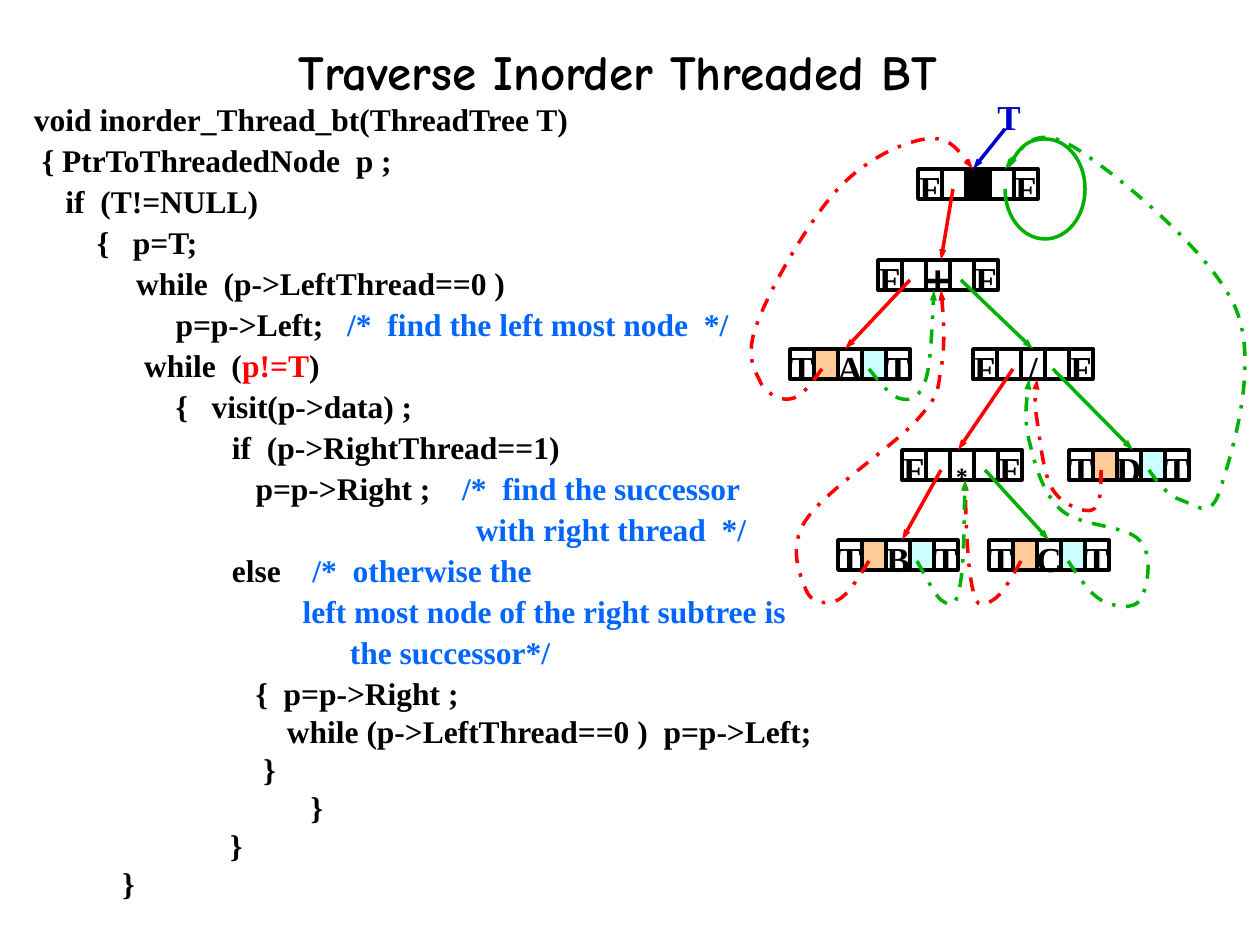
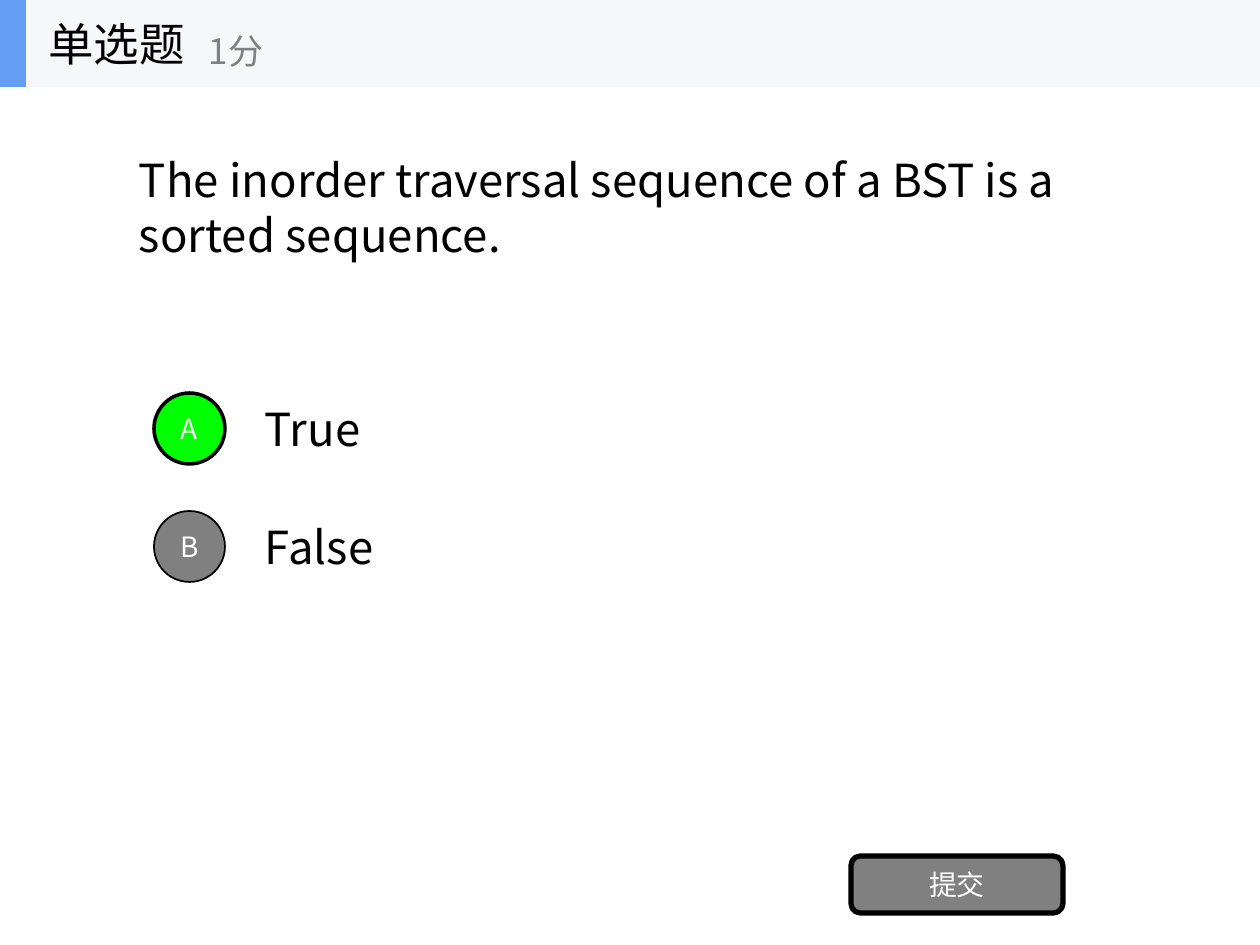
from lxml import etree
from pptx import Presentation
from pptx import util as u
from pptx.dml.color import RGBColor
from pptx.enum import dml, shapes, text
from pptx.oxml.ns import qn

PX = 914400 / 126  # EMU per px
BLACK, WHITE = RGBColor(0, 0, 0), RGBColor(255, 255, 255)
RED, GREEN = RGBColor(0xFF, 0, 0), RGBColor(0, 0xB2, 0)
NAVY, COMMENT = RGBColor(0, 0, 0xCC), RGBColor(0, 0x66, 0xFF)
PEACH, AQUA = RGBColor(0xFF, 0xCC, 0x99), RGBColor(0xCC, 0xFF, 0xFF)
GRAY, LIME = RGBColor(0x80, 0x80, 0x80), RGBColor(0, 0xFF, 0)
BAND, ACCENT = RGBColor(0xF6, 0xF7, 0xF8), RGBColor(0x63, 0x9E, 0xF4)
SERIF, COMIC, SANS, ARIAL = "Times New Roman", "Comic Neue", "Noto Sans CJK SC", "Arial"
LEFT, CENTER = text.PP_ALIGN.LEFT, text.PP_ALIGN.CENTER
MIDDLE, TOP = text.MSO_ANCHOR.MIDDLE, text.MSO_ANCHOR.TOP
SHAPE = shapes.MSO_SHAPE

CELL_W, CELL_H = 24, 30
# name: (left, top, tag, data); the tag F marks a link, T a thread
NODES = {
    "head": (178, 89, "F", ""),
    "+": (138, 180, "F", "+"),
    "A": (50, 269, "T", "A"),
    "/": (233, 269, "F", "/"),
    "*": (162, 370, "F", "∗"),
    "D": (329, 370, "T", "D"),
    "B": (98, 460, "T", "B"),
    "C": (249, 460, "T", "C"),
}
# start, end, colour, node whose data cell the arrow is joined to
LINKS = [
    ((265, 49), (233, 89), NAVY, None),
    ((213, 109), (201, 180), RED, None),
    ((170, 200), (105, 269), RED, None),
    ((221, 200), (293, 269), GREEN, "/"),
    ((273, 289), (218, 370), RED, None),
    ((313, 289), (393, 370), GREEN, None),
    ((201, 390), (162, 460), RED, None),
    ((245, 390), (309, 460), GREEN, "C"),
]
HEAD_LOOP = [(265, 109), (265, 137), (283, 159), (305, 159), (327, 159), (345, 137),
             (345, 109), (345, 81), (327, 59), (305, 59), (289, 59), (276, 70), (269, 88)]
# Bezier points: start, then two handles and an end for each segment
THREADS = [
    (RED, [(82, 289), (71, 304), (61, 318), (50, 319), (40, 321), (24, 313), (19, 299),
           (13, 287), (5, 272), (19, 239), (31, 207), (70, 139), (98, 109),
           (126, 79), (163, 62), (186, 59), (208, 56), (220, 72), (233, 89)]),
    (GREEN, [(129, 289), (141, 304), (152, 318), (162, 319), (171, 321), (180, 318),
             (186, 299), (191, 282), (192, 245), (194, 210)]),
    (RED, [(129, 481), (119, 497), (108, 515), (98, 520), (88, 525), (71, 524), (66, 510),
           (61, 497), (47, 468), (66, 440), (85, 411), (155, 365), (177, 340),
           (200, 314), (197, 312), (201, 289), (205, 268), (204, 239), (201, 210)]),
    (RED, [(281, 481), (272, 497), (262, 515), (253, 520), (245, 525), (236, 530),
           (233, 510), (228, 491), (226, 445), (225, 400)]),
    (GREEN, [(177, 481), (186, 497), (195, 515), (201, 520), (209, 525), (215, 530),
             (219, 510), (224, 491), (224, 445), (225, 400)]),
    (GREEN, [(328, 481), (339, 497), (349, 513), (361, 520), (373, 527), (394, 530),
             (400, 520), (407, 510), (414, 476), (400, 461), (388, 445), (340, 447),
             (321, 430), (302, 413), (294, 381), (289, 360), (284, 338), (287, 318),
             (289, 299)]),
    (RED, [(361, 390), (361, 408), (361, 427), (352, 430), (345, 433), (322, 425),
           (313, 410), (303, 395), (300, 358), (297, 340), (294, 321), (296, 311),
           (297, 299)]),
    (GREEN, [(409, 390), (418, 403), (428, 416), (441, 420), (452, 423), (471, 442),
             (480, 410), (490, 379), (520, 287), (496, 229), (472, 172), (375, 93),
             (337, 69), (298, 45), (282, 67), (265, 89)]),
]

# indent in px, space before in pt, runs
CODE = [
    (0, 0, [("void inorder_Thread_bt(ThreadTree T)", BLACK)]),
    (0, 1.7, [(" { PtrToThreadedNode  p ;", BLACK)]),
    (0, 1.7, [("    if  (T!=NULL)", BLACK)]),
    (0, 1.7, [("        {   p=T;", BLACK)]),
    (0, 1.7, [("             while  (p->LeftThread==0 )", BLACK)]),
    (0, 1.7, [("                  p=p->Left;   ", BLACK),
              ("/*  find the left most node  */", COMMENT)]),
    (0, 1.7, [("              while  (", BLACK), ("p!=T", RED), (")", BLACK)]),
    (0, 1.7, [("                  {   visit(p->data) ;", BLACK)]),
    (198, 1.7, [("if  (p->RightThread==1)", BLACK)]),
    (198, 1.7, [("   p=p->Right ;    ", BLACK), ("/*  find the successor", COMMENT)]),
    (198, 1.7, [("                               with right thread  */", COMMENT)]),
    (198, 1.7, [("else    ", BLACK), ("/*  otherwise the", COMMENT)]),
    (198, 1.7, [("         left most node of the right subtree is", COMMENT)]),
    (198, 1.7, [("               the successor*/", COMMENT)]),
    (198, 1.7, [("   {  p=p->Right ;", BLACK)]),
    (198, 0, [("       while (p->LeftThread==0 )  p=p->Left;", BLACK)]),
    (198, 0, [("    }", BLACK)]),
    (198, 0, [("          }", BLACK)]),
    (149, 0, [("      }", BLACK)]),
    (49, 0, [("     }", BLACK)]),
]


def px(*lengths):
    return [u.Emu(round(n * PX)) for n in lengths]


def add_run(p, words, size, font, color=BLACK, bold=False):
    r = p.add_run()
    r.text = words
    r.font.size, r.font.name, r.font.bold = u.Pt(size), font, bold
    r.font.color.rgb = color
    etree.SubElement(r.font._element, qn("a:ea"), typeface=font)


def set_frame(sp, anchor=MIDDLE, wrap=True, drop=0):
    """Clear the insets; drop lowers centred text by half its value in px."""
    tf = sp.text_frame
    tf.auto_size = text.MSO_AUTO_SIZE.NONE
    tf.word_wrap, tf.vertical_anchor = wrap, anchor
    tf.margin_left = tf.margin_right = tf.margin_bottom = 0
    tf.margin_top = px(drop)[0]
    return tf


def put_text(sp, words, size, font, color=BLACK, bold=False, align=LEFT, **frame):
    p = set_frame(sp, **frame).paragraphs[0]
    p.alignment = align
    add_run(p, words, size, font, color, bold)


def add_label(slide, box, words, size, font, **fmt):
    put_text(slide.shapes.add_textbox(*px(*box)), words, size, font, **fmt)


def put_title(slide, box, words, size, font, **fmt):
    title = slide.shapes.title
    title.left, title.top, title.width, title.height = px(*box)
    put_text(title, words, size, font, **fmt)
    title.element.getparent().append(title.element)  # in front of the bands


def add_shape(slide, kind, box, fill=None, line=None):
    """Line is the width in pt of a black outline."""
    sp = slide.shapes.add_shape(kind, *px(*box))
    sp.shadow.inherit = False
    if fill is None:
        sp.fill.background()
    else:
        sp.fill.solid()
        sp.fill.fore_color.rgb = fill
    if line is None:
        sp.line.fill.background()
    else:
        sp.line.color.rgb, sp.line.width = BLACK, u.Pt(line)
    return sp


def style_arrow(sp, color, dashed=False):
    sp.line.color.rgb, sp.line.width = color, u.Pt(2)
    if dashed:
        sp.line.dash_style = dml.MSO_LINE.DASH_DOT
    ln = sp.element.find(".//" + qn("a:ln"))
    etree.SubElement(ln, qn("a:tailEnd"), type="triangle", w="sm", len="med")


def add_arrow(slide, start, end, color, target=None):
    c = slide.shapes.add_connector(shapes.MSO_CONNECTOR.STRAIGHT, *px(*start, *end))
    if target is not None:
        c.end_connect(target, 0)
    style_arrow(c, color)
    etree.SubElement(c.element.spPr, qn("a:effectLst"))


def add_curve(slide, points, color, dashed=False):
    builder = slide.shapes.build_freeform(*points[0], scale=PX)
    builder.add_line_segments(points[1:], close=False)
    sp = builder.convert_to_shape()
    sp.shadow.inherit = False
    sp.fill.background()
    steps = list(sp.element.iter(qn("a:lnTo")))
    for i in range(0, len(steps), 3):  # two handles and an end make one Bezier segment
        bezier = etree.Element(qn("a:cubicBezTo"))
        steps[i].addprevious(bezier)
        for step in steps[i:i + 3]:
            bezier.append(step[0])
            step.getparent().remove(step)
    style_arrow(sp, color, dashed)


def add_node(slide, left, top, tag, data):
    """Draw tag, left link, data, right link and tag; return the data cell."""
    links = (PEACH, AQUA) if tag == "T" else (None, None)
    fills = (None, links[0], None if data else BLACK, links[1], None)
    cells = []
    for i, (words, fill) in enumerate(zip((tag, "", data, "", tag), fills)):
        box = (left + i * CELL_W, top, CELL_W, CELL_H)
        sp = add_shape(slide, SHAPE.RECTANGLE, box, fill, line=2)
        if words:
            size, font = (24, ARIAL) if words == "+" else (20, SERIF)
            put_text(sp, words, size, font, bold=True, align=CENTER, wrap=False, drop=7)
        cells.append(sp)
    return cells[2]


def draw_tree(slide, x, y):
    def at(points):
        return [(x + dx, y + dy) for dx, dy in points]

    data_cells = {name: add_node(slide, x + left, y + top, tag, data)
                  for name, (left, top, tag, data) in NODES.items()}
    add_label(slide, (x + 209, y + 8, 120, 50), "T", 20, SERIF, color=NAVY, bold=True,
              align=CENTER, wrap=False, drop=7)
    for start, end, color, name in LINKS:
        add_arrow(slide, *at([start, end]), color, data_cells.get(name))
    add_curve(slide, at(HEAD_LOOP), GREEN)
    for color, points in THREADS:
        add_curve(slide, at(points), color, dashed=True)


def write_code(slide, x, y, w, h):
    tf = set_frame(slide.shapes.add_textbox(*px(x, y, w, h)), anchor=TOP)
    for i, (indent, before, runs) in enumerate(CODE):
        p = tf.paragraphs[0] if i == 0 else tf.add_paragraph()
        p.line_spacing, p.space_before = u.Pt(21.7), u.Pt(before)
        p._p.get_or_add_pPr().set("marL", str(px(indent)[0]))
        for words, color in runs:
            add_run(p, words, 18, SERIF, color, bold=True)


def traversal_slide(slide):
    put_title(slide, (28, 43, 1180, 56), "Traverse Inorder Threaded BT", 28, COMIC,
              bold=True, align=CENTER)
    write_code(slide, 34, 100, 820, 800)
    draw_tree(slide, 740, 80)


def draw_header(slide, x, y, w, h):
    add_shape(slide, SHAPE.RECTANGLE, (x, y, w, h), BAND)
    add_shape(slide, SHAPE.RECTANGLE, (x, y, 26, h), ACCENT)
    put_title(slide, (x + 48, y, 150, h), "单选题", 26, SANS)
    add_label(slide, (x + 209, y + 15, 290, 71), "1分", 20, SANS, color=GRAY)


def draw_option(slide, x, y, letter, answer, fill, line):
    sp = add_shape(slide, SHAPE.OVAL, (x, y, 71, 71), fill, line)
    put_text(sp, letter, 16, SANS, color=WHITE, align=CENTER)
    add_label(slide, (x + 111, y - 9, 857, 88), answer, 26, SANS)


def question_slide(slide):
    draw_header(slide, 0, 0, 1260, 87)
    add_label(slide, (139, 59, 982, 295),
              "The inorder traversal sequence of a BST is a sorted sequence.", 26, SANS)
    options = [("A", "True", LIME, 2), ("B", "False", GRAY, 1)]
    for i, option in enumerate(options):
        draw_option(slide, 154, 393 + i * 118, *option)
    button = add_shape(slide, SHAPE.ROUNDED_RECTANGLE, (851, 856, 212, 57), GRAY, line=3)
    put_text(button, "提交", 16, SANS, color=WHITE, align=CENTER)


def main():
    prs = Presentation()
    prs.slide_width, prs.slide_height = px(1260, 945)
    title_only = prs.slide_layouts[5]
    for build in (traversal_slide, question_slide):
        build(prs.slides.add_slide(title_only))
    prs.save("out.pptx")


if __name__ == "__main__":
    main()
